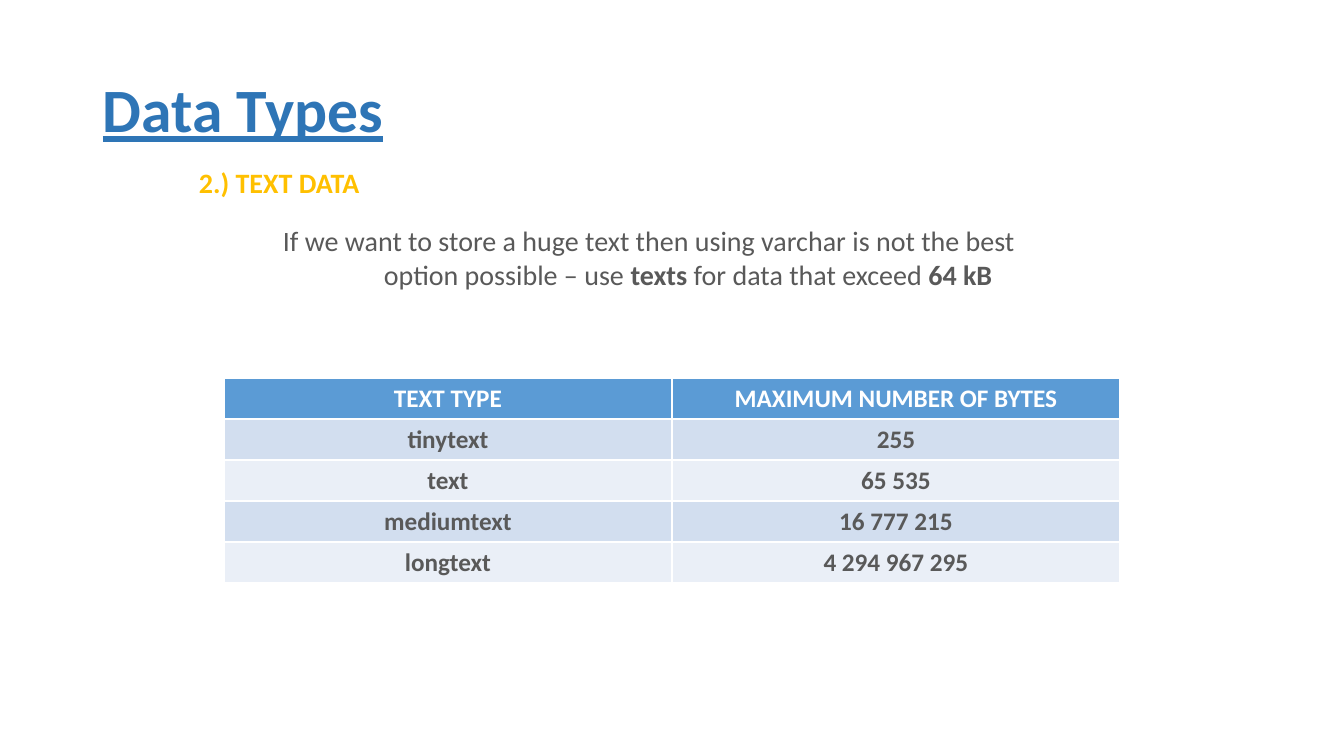
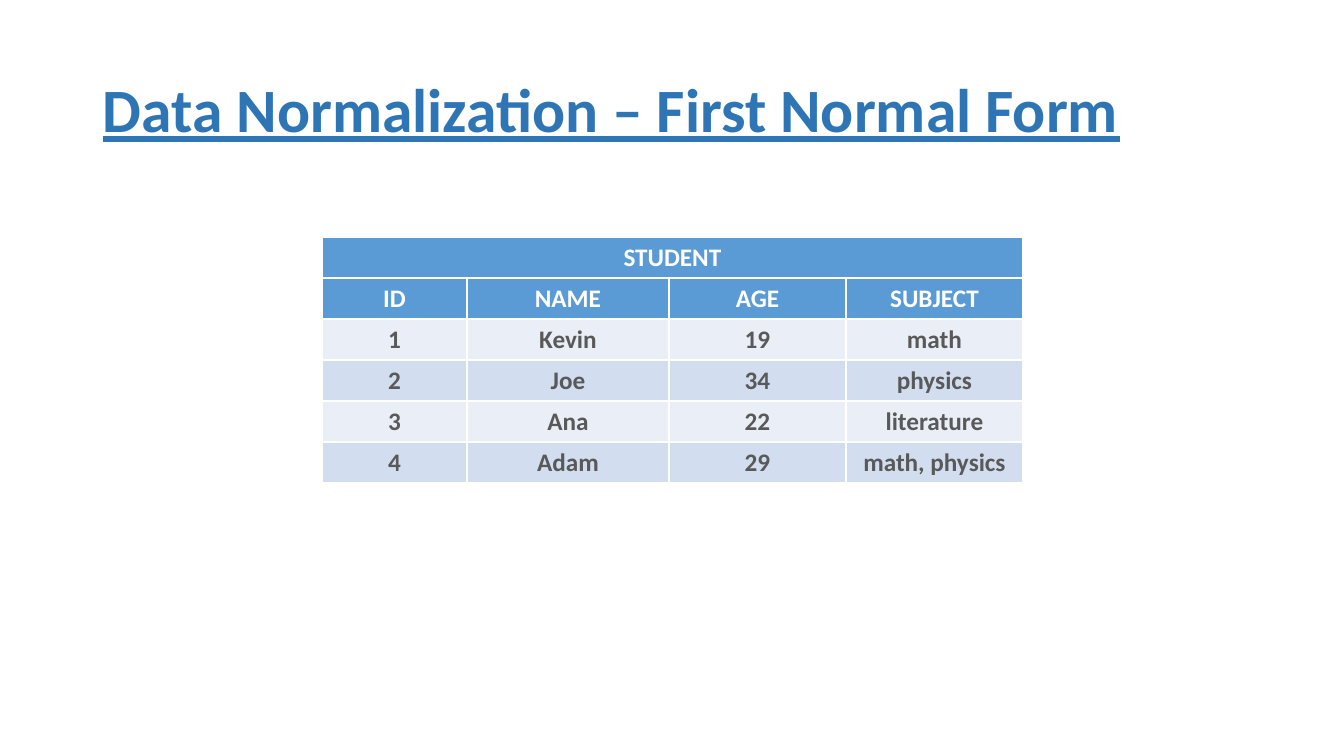
"""Build two database slides: text data types and first normal form."""
from pptx import Presentation
from pptx.dml.color import RGBColor
from pptx.enum.text import MSO_ANCHOR, PP_ALIGN
from pptx.util import Pt

PX = 914400 / 100.8
FONT = "Calibri"
CENTER = PP_ALIGN.CENTER
TOP, MIDDLE = MSO_ANCHOR.TOP, MSO_ANCHOR.MIDDLE
ROW_H = 41
TAB = 101
COLORS = {
    "title": "2E75B6",
    "accent": "FFC000",
    "text": "595959",
    "white": "FFFFFF",
    "header": "5B9BD5",
    "band_dark": "D2DEEF",
    "band_light": "EAEFF7",
}


def px(n):
    return round(n * PX)


def style_run(r, size, color, bold):
    r.font.name = FONT
    r.font.size = Pt(size)
    r.font.bold = bold
    r.font.color.rgb = RGBColor.from_string(COLORS[color])


prs = Presentation()
prs.slide_width, prs.slide_height = px(1344), px(756)

slides = [
    {
        "title": "Data Types",
        "table": (224, 378),
        "cols": [448, 448],
        "header_rows": 1,
        "anchor": TOP,
        "rows": [
            ["TEXT TYPE", "MAXIMUM NUMBER OF BYTES"],
            ["tinytext", "255"],
            ["text", "65 535"],
            ["mediumtext", "16 777 215"],
            ["longtext", "4 294 967 295"],
        ],
        "texts": [
            ((189, 161, 182, 44), "accent", [[("2.) TEXT DATA", True)]]),
            ((273, 219, 759, 179), "text", [
                [("If we want to store a huge text then using varchar is not the best", False)],
                [("option possible – use ", False), ("texts", True),
                 (" for data that exceed ", False), ("64 kB", True)],
            ]),
        ],
    },
    {
        "title": "Data Normalization – First Normal Form",
        "table": (322, 237),
        "cols": [145, 202, 177, 177],
        "header_rows": 2,
        "anchor": MIDDLE,
        "rows": [
            ["STUDENT", "", "", ""],
            ["ID", "NAME", "AGE", "SUBJECT"],
            ["1", "Kevin", "19", "math"],
            ["2", "Joe", "34", "physics"],
            ["3", "Ana", "22", "literature"],
            ["4", "Adam", "29", "math, physics"],
        ],
        "texts": [],
    },
]

for data in slides:
    s = prs.slides.add_slide(prs.slide_layouts[6])

    tf = s.shapes.add_textbox(px(93), px(40), px(1159), px(146)).text_frame
    tf.word_wrap = True
    tf.vertical_anchor = MIDDLE
    p = tf.paragraphs[0]
    p.text = data["title"]
    p.line_spacing = 0.9
    style_run(p.runs[0], 44, "title", True)
    p.runs[0].font.underline = True

    for box, color, lines in data["texts"]:
        tf = s.shapes.add_textbox(*map(px, box)).text_frame
        tf.word_wrap = False
        for i, line in enumerate(lines):
            p = tf.add_paragraph() if i else tf.paragraphs[0]
            p.alignment = PP_ALIGN.LEFT
            if i:
                p._p.get_or_add_pPr().set("marL", str(px(TAB)))
            for text, bold in line:
                r = p.add_run()
                r.text = text
                style_run(r, 20, color, bold)

    rows, cols = data["rows"], data["cols"]
    left, top = data["table"]
    table = s.shapes.add_table(
        len(rows), len(cols), px(left), px(top), px(sum(cols)), px(ROW_H * len(rows))
    ).table
    for column, width in zip(table.columns, cols):
        column.width = px(width)
    for i, row in enumerate(rows):
        table.rows[i].height = px(ROW_H)
        is_header = i < data["header_rows"]
        fill = "header" if is_header else ("band_light", "band_dark")[i % 2]
        for j, text in enumerate(row):
            cell = table.cell(i, j)
            cell.fill.solid()
            cell.fill.fore_color.rgb = RGBColor.from_string(COLORS[fill])
            cell.vertical_anchor = data["anchor"]
            if text:
                p = cell.text_frame.paragraphs[0]
                p.text = text
                p.alignment = CENTER
                style_run(p.runs[0], 18, "white" if is_header else "text", True)
    if not rows[0][1]:
        table.cell(0, 0).merge(table.cell(0, len(cols) - 1))

prs.save("out.pptx")
